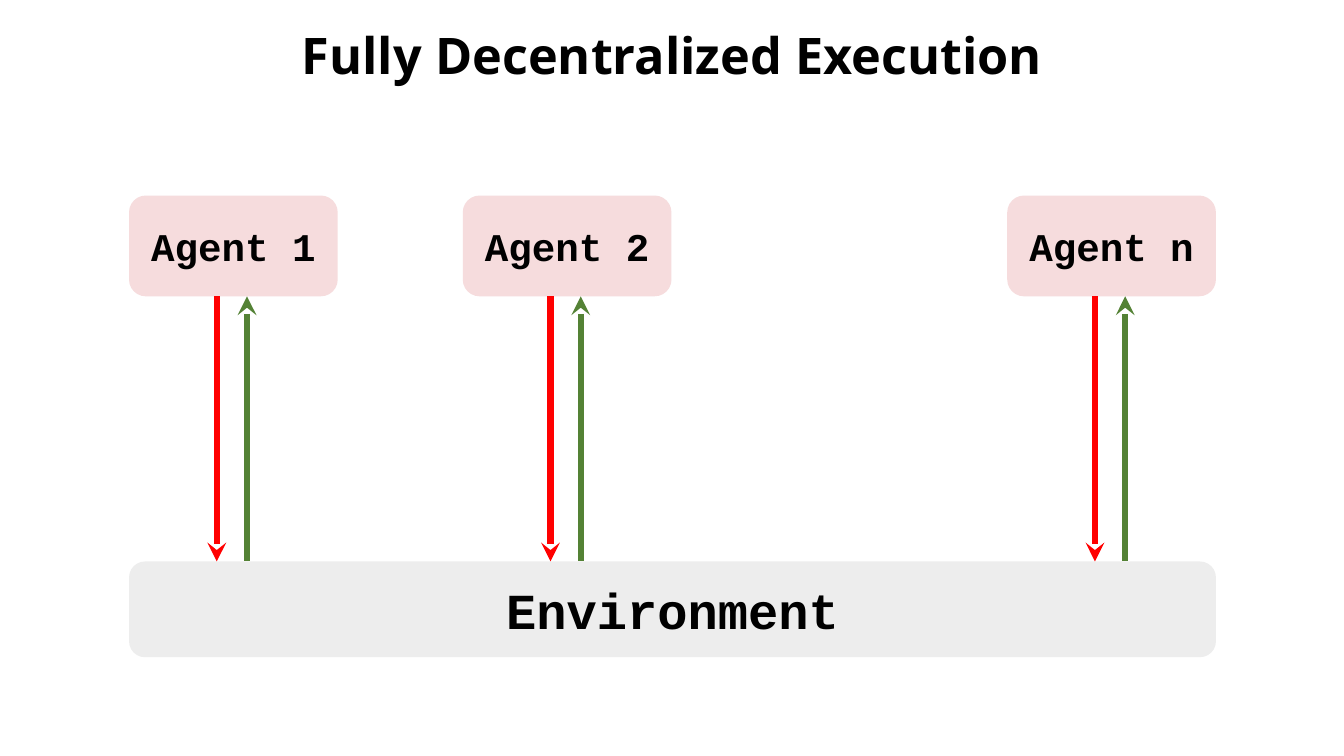
from lxml import etree
from pptx import Presentation
from pptx.dml.color import RGBColor
from pptx.enum.shapes import MSO_CONNECTOR, MSO_SHAPE
from pptx.enum.text import MSO_ANCHOR, PP_ALIGN
from pptx.oxml.ns import qn
from pptx.util import Inches, Pt

# Content
TITLE = "Fully Decentralized Execution"
ENVIRONMENT = "Environment"
AGENTS = [("Agent 1", 1.28), ("Agent 2", 4.59), ("Agent n", 9.99)]  # label, left

COLORS = {
    "text": "000000",
    "agent": "F6DCDD",
    "environment": "EDEDED",
    "action": "FF0000",
    "observation": "548235",
}
# Colour, offset from the agent's left side, end that carries the arrowhead
ARROWS = [("action", 0.87, "a:tailEnd"), ("observation", 1.17, "a:headEnd")]

# Layout in inches
AGENT_TOP, AGENT_WIDTH, AGENT_HEIGHT = 1.94, 2.07, 1.0
AGENT_BOTTOM = AGENT_TOP + AGENT_HEIGHT
ENVIRONMENT_TOP, ENVIRONMENT_HEIGHT = 5.57, 0.95
ENVIRONMENT_LEFT = AGENTS[0][1]
ENVIRONMENT_WIDTH = AGENTS[-1][1] + AGENT_WIDTH - ENVIRONMENT_LEFT


def color(name):
    return RGBColor.from_string(COLORS[name])


def write(shape, text, font_name, size):
    text_frame = shape.text_frame
    text_frame.text = text
    text_frame.word_wrap = True
    text_frame.vertical_anchor = MSO_ANCHOR.MIDDLE
    paragraph = text_frame.paragraphs[0]
    paragraph.alignment = PP_ALIGN.CENTER
    font = paragraph.runs[0].font
    font.name, font.size, font.bold = font_name, Pt(size), True
    font.color.rgb = color("text")
    return paragraph


def add_box(slide, text, left, top, width, height, fill, size):
    shape = slide.shapes.add_shape(
        MSO_SHAPE.ROUNDED_RECTANGLE,
        Inches(left), Inches(top), Inches(width), Inches(height))
    shape.shadow.inherit = False
    shape.fill.solid()
    shape.fill.fore_color.rgb = color(fill)
    shape.line.fill.background()
    write(shape, text, "Courier New", size)


def add_arrow(slide, x, color_name, arrow_end):
    connector = slide.shapes.add_connector(
        MSO_CONNECTOR.STRAIGHT,
        Inches(x), Inches(AGENT_BOTTOM), Inches(x), Inches(ENVIRONMENT_TOP))
    connector.line.color.rgb = color(color_name)
    connector.line.width = Pt(4.5)
    etree.SubElement(connector.line._get_or_add_ln(), qn(arrow_end), type="stealth")
    etree.SubElement(connector._element.spPr, qn("a:effectLst"))


def main():
    presentation = Presentation()
    presentation.slide_width, presentation.slide_height = Inches(13.33), Inches(7.5)
    slide = presentation.slides.add_slide(presentation.slide_layouts[5])

    # Title
    title = slide.shapes.title
    title.left, title.top = Inches(0), Inches(0.01)
    title.width, title.height = Inches(13.33), Inches(1.13)
    write(title, TITLE, "Noto Sans", 36).line_spacing = 0.9

    # Environment and agents
    add_box(slide, ENVIRONMENT, ENVIRONMENT_LEFT, ENVIRONMENT_TOP,
            ENVIRONMENT_WIDTH, ENVIRONMENT_HEIGHT, "environment", 36)
    for label, left in AGENTS:
        add_box(slide, label, left, AGENT_TOP, AGENT_WIDTH, AGENT_HEIGHT, "agent", 28)

    # Actions down, observations up
    for color_name, offset, arrow_end in ARROWS:
        for label, left in AGENTS:
            add_arrow(slide, left + offset, color_name, arrow_end)

    presentation.save("out.pptx")


if __name__ == "__main__":
    main()
